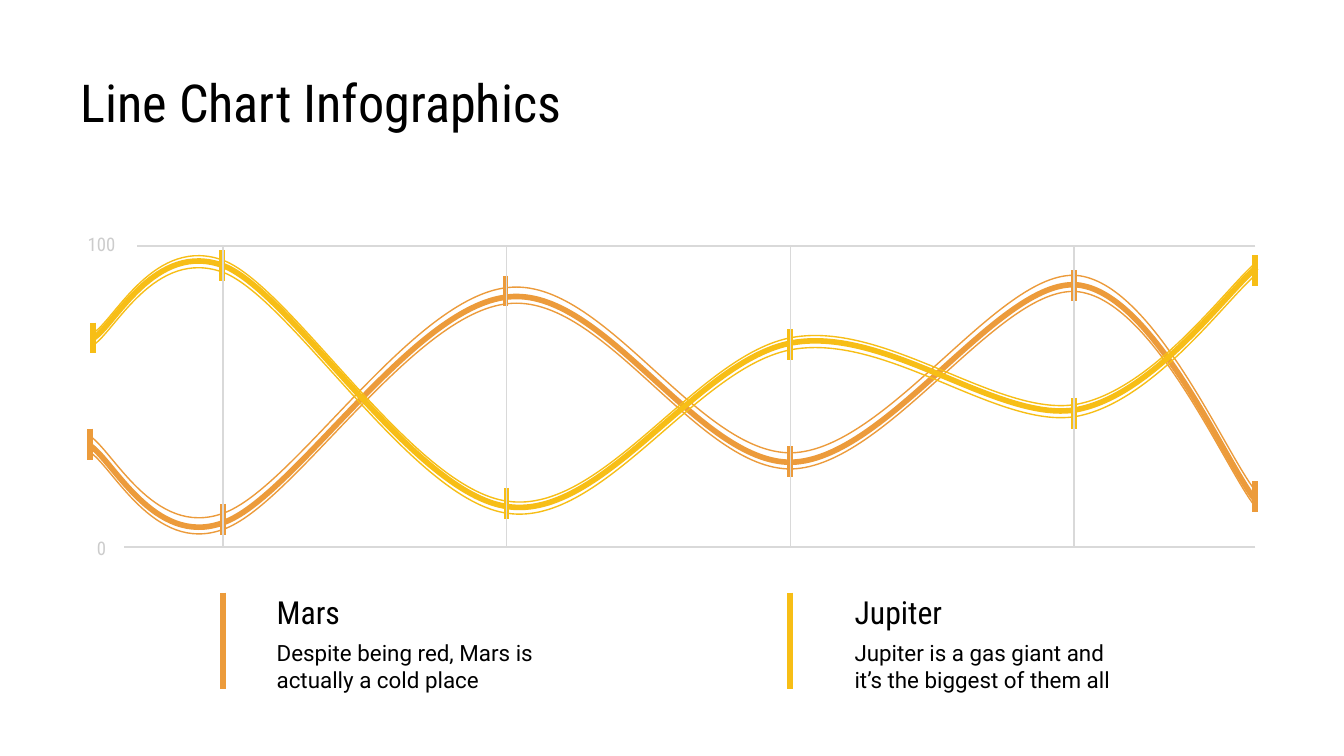
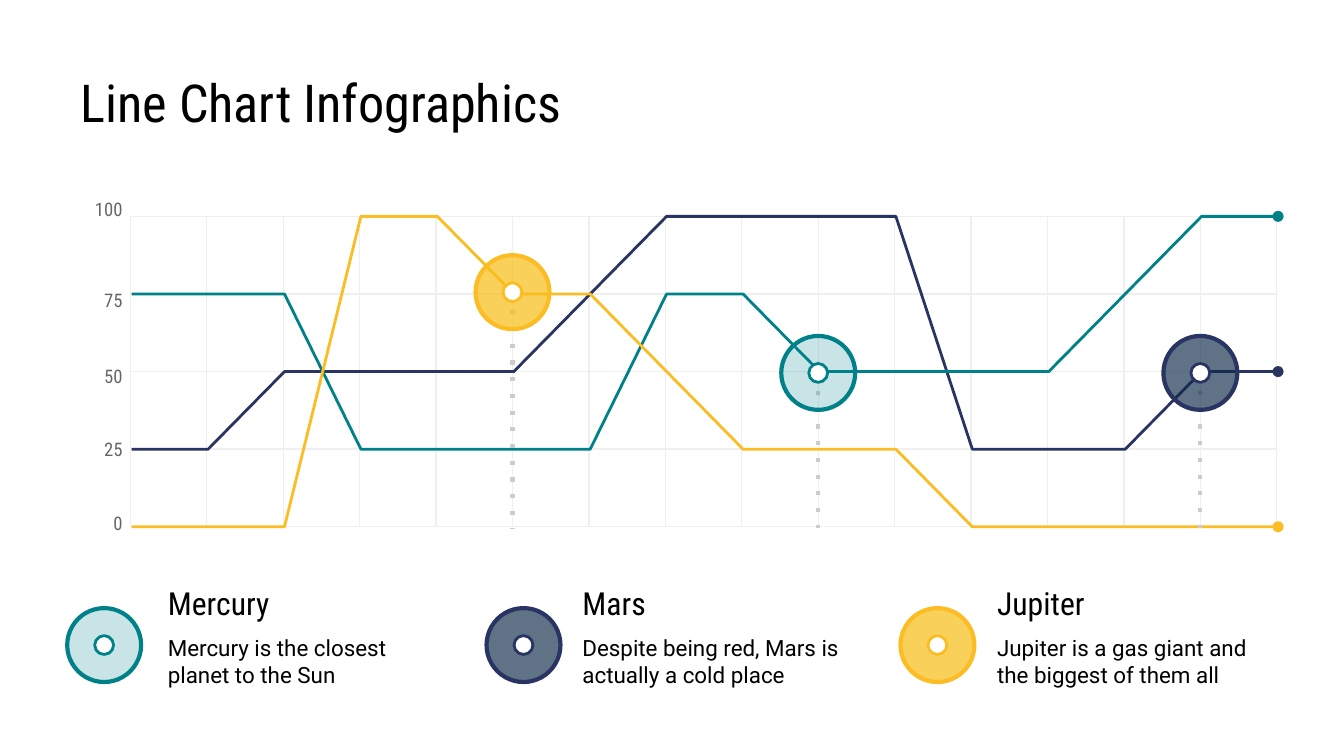
"""Build two line chart infographic slides."""
from dataclasses import dataclass
from typing import NamedTuple

from lxml import etree
from pptx import Presentation
from pptx import util as u
from pptx.dml.color import RGBColor
from pptx.enum import shapes as kinds, text
from pptx.oxml.ns import qn


@dataclass(frozen=True)
class Theme:
    """Colours, fonts and type sizes shared by the slides."""
    ink: str = "000000"
    paper: str = "FFFFFF"
    orange: str = "EC9B3B"
    yellow: str = "F7BE16"
    amber: str = "FCBD24"
    teal: str = "00818A"
    navy: str = "293462"
    deep_navy: str = "0E2A47"
    rule: str = "D9D9D9"
    grid: str = "EFEFEF"
    pale_label: str = "CCCCCC"
    dark_label: str = "666666"
    heading_font: str = "Roboto Condensed"
    body_font: str = "Roboto"
    title_size: float = 28
    heading_size: float = 17
    body_size: float = 12
    label_size: float = 10
    hairline: float = 0.75
    line: float = 1.5
    outline: float = 2.25
    bold_line: float = 3


class Box(NamedTuple):
    """A region of a slide in inches."""
    left: float
    top: float
    width: float
    height: float

    def lengths(self):
        """Return the four values as lengths."""
        return [u.Inches(value) for value in self]


class Wave(NamedTuple):
    """A curved series, with points and tick tops relative to the plot."""
    color: str
    points: list
    shifts: tuple
    ticks: list


class Planet(NamedTuple):
    """A straight series with its legend entry."""
    name: str
    note: str
    color: str
    fill: str
    opacity: int
    points: list
    highlight: tuple
    ring_left: float


THEME = Theme()
TITLE = "Line Chart Infographics"
SLIDE_WIDTH = 10
SLIDE_HEIGHT = SLIDE_WIDTH * 9 / 16
RING_SIZE, HOLE_SIZE = 0.55, 0.14
MARS_NOTE = "Despite being red, Mars is actually a cold place"

MARS_WAVE = Wave(
    THEME.orange,
    [(0, 1.48), (0.17, 1.57), (0.48, 2.25), (1, 2.06),
     (1.52, 1.88), (2.41, 0.45), (3.12, 0.38),
     (3.83, 0.3), (4.53, 1.62), (5.23, 1.61),
     (5.94, 1.59), (6.77, 0.25), (7.35, 0.29),
     (7.92, 0.34), (8.46, 1.62), (8.68, 1.89)],
    (-0.07, 0.05),
    [(0.01, 1.36), (1, 1.92), (3.1, 0.22), (5.22, 1.49), (7.33, 0.18), (8.68, 1.75)])
JUPITER_WAVE = Wave(
    THEME.yellow,
    [(0.03, 0.69), (0.19, 0.6), (0.49, -0.05), (1.01, 0.15),
     (1.52, 0.36), (2.42, 1.85), (3.12, 1.94),
     (3.83, 2.04), (4.53, 0.84), (5.24, 0.72),
     (5.94, 0.6), (6.76, 1.31), (7.34, 1.22),
     (7.92, 1.12), (8.47, 0.34), (8.69, 0.16)],
    (-0.04, 0.05),
    [(0.03, 0.57), (0.99, 0.03), (3.11, 1.8), (5.22, 0.62), (7.33, 1.13), (8.68, 0.07)])

PLANETS = [
    Planet("Mercury", "Mercury is the closest planet to the Sun",
           THEME.teal, THEME.teal, 21,
           [(0, 75), (2, 75), (3, 25), (6, 25), (7, 75), (8, 75), (9, 50),
            (12, 50), (14, 100), (15, 100)], (9, 50), 0.5),
    Planet("Mars", MARS_NOTE, THEME.navy, THEME.deep_navy, 66,
           [(0, 25), (1, 25), (2, 50), (3, 50), (5, 50), (7, 100), (10, 100),
            (11, 25), (13, 25), (14, 50), (15, 50)], (14, 50), 3.62),
    Planet("Jupiter", "Jupiter is a gas giant and the biggest of them all",
           THEME.amber, THEME.yellow, 71,
           [(0, 0), (2, 0), (3, 100), (4, 100), (5, 75), (6, 75), (8, 25),
            (10, 25), (11, 0), (15, 0)], (5, 76), 6.7),
]


def style_line(shape, color, width):
    """Set the colour and width of an outline."""
    shape.line.color.rgb = RGBColor.from_string(color)
    shape.line.width = u.Pt(width)


def add_line(shapes, start, end, color, width, dash=None):
    """Draw a straight connector without a shadow."""
    ends = [u.Inches(value) for value in (*start, *end)]
    line = shapes.add_connector(kinds.MSO_CONNECTOR.STRAIGHT, *ends)
    style_line(line, color, width)
    if dash:
        etree.SubElement(line.line._get_or_add_ln(), qn("a:prstDash"), val=dash)
    etree.SubElement(line._element.spPr, qn("a:effectLst"))
    return line


def add_outline(shapes, points, color, width):
    """Draw an open freeform through the points."""
    places = [(u.Inches(x), u.Inches(y)) for x, y in points]
    builder = shapes.build_freeform(*places[0])
    builder.add_line_segments(places[1:], close=False)
    outline = builder.convert_to_shape()
    outline.shadow.inherit = False
    outline.fill.background()
    style_line(outline, color, width)
    return outline


def add_curve(shapes, points, color, width):
    """Draw a freeform whose points after the first are Bézier triples."""
    curve = add_outline(shapes, points, color, width)
    outline_path = curve._element.find(".//" + qn("a:path"))
    segments = outline_path.findall(qn("a:lnTo"))
    for first in range(0, len(segments), 3):
        bezier = etree.SubElement(outline_path, qn("a:cubicBezTo"))
        for segment in segments[first:first + 3]:
            bezier.append(segment[0])
            outline_path.remove(segment)


def add_shape(shapes, kind, box, color, width, fill=None, opacity=100):
    """Draw a preset shape with an optional translucent fill."""
    shape = shapes.add_shape(kind, *box.lengths())
    shape.shadow.inherit = False
    style_line(shape, color, width)
    if fill is None:
        shape.fill.background()
        return shape
    shape.fill.solid()
    shape.fill.fore_color.rgb = RGBColor.from_string(fill)
    if opacity < 100:
        tint = shape._element.spPr.find(qn("a:solidFill"))[0]
        etree.SubElement(tint, qn("a:alpha"), val=str(opacity * 1000))
    return shape


def write(shape, words, size, font, color=THEME.ink,
          align=text.PP_ALIGN.LEFT, anchor=text.MSO_ANCHOR.MIDDLE):
    """Write one paragraph into a shape."""
    frame = shape.text_frame
    frame.word_wrap = True
    frame.auto_size = text.MSO_AUTO_SIZE.NONE
    frame.vertical_anchor = anchor
    frame.margin_left = frame.margin_right = u.Inches(0.1)
    frame.margin_top = frame.margin_bottom = u.Inches(0.1)
    paragraph = frame.paragraphs[0]
    paragraph.text = words
    paragraph.alignment = align
    paragraph.font.size = u.Pt(size)
    paragraph.font.name = font
    paragraph.font.color.rgb = RGBColor.from_string(color)


def add_titled_slide(presentation):
    """Add a slide with the shared title."""
    slide = presentation.slides.add_slide(presentation.slide_layouts[5])
    title = slide.shapes.title
    title.left, title.top, title.width, title.height = Box(0.5, 0.42, 9, 0.63).lengths()
    write(title, TITLE, THEME.title_size, THEME.heading_font, anchor=text.MSO_ANCHOR.TOP)
    return slide


def add_caption(slide, box, heading, note):
    """Place a heading above a note that fills the rest of the box."""
    heading_height = 0.33
    top = slide.shapes.add_textbox(*box._replace(height=heading_height).lengths())
    write(top, heading, THEME.heading_size, THEME.heading_font)
    rest = Box(box.left, box.top + heading_height, box.width, box.height - heading_height)
    write(slide.shapes.add_textbox(*rest.lengths()), note, THEME.body_size, THEME.body_font)


def add_axis_label(slide, top, words, color, align):
    """Place a value label left of a plot."""
    label = slide.shapes.add_textbox(*Box(0.5, top, 0.51, 0.33).lengths())
    write(label, words, THEME.label_size, THEME.heading_font, color, align)


def add_wave(slide, plot, wave):
    """Draw a curve, its two thin companions and its ticks."""
    shapes = slide.shapes.add_group_shape().shapes
    for shift in (0, *wave.shifts):
        width = THEME.hairline if shift else THEME.bold_line
        points = [(plot.left + x, plot.top + y + shift) for x, y in wave.points]
        add_curve(shapes, points, wave.color, width)
    for x, y in wave.ticks:
        left, top = plot.left + x, plot.top + y
        add_line(shapes, (left, top), (left, top + 0.23), wave.color, THEME.bold_line)


def add_wave_grid(slide, plot):
    """Draw four column rules, a top rule and a base rule."""
    shapes = slide.shapes.add_group_shape().shapes
    right, bottom = plot.left + plot.width, plot.top + plot.height
    for column in range(4):
        x = plot.left + 1 + 2.11 * column
        add_line(shapes, (x, plot.top + 0.01), (x, bottom), THEME.rule, THEME.hairline)
    for y, indent in ((bottom, 0.26), (plot.top, 0.36)):
        add_line(shapes, (right, y), (plot.left + indent, y), THEME.rule, THEME.hairline)


def add_wave_legend(slide, box, color, bar_gap, heading, note):
    """Place a caption with a coloured bar to its left."""
    x = box.left - bar_gap
    add_line(slide.shapes, (x, box.top + 0.02), (x, box.top + 0.74), color, THEME.bold_line)
    add_caption(slide, box, heading, note)


def build_wave_slide(presentation):
    """Build the slide with two curved series."""
    slide = add_titled_slide(presentation)
    plot = Box(0.66, 1.83, 8.68, 2.24)
    add_wave(slide, plot, MARS_WAVE)
    add_wave_legend(slide, Box(1.96, 4.39, 2.18, 0.8), THEME.orange, 0.3, "Mars", MARS_NOTE)
    add_wave_legend(slide, Box(6.26, 4.39, 2.18, 0.8), THEME.yellow, 0.38, "Jupiter",
                    "Jupiter is a gas giant and it’s the biggest of them all")
    add_wave(slide, plot, JUPITER_WAVE)
    add_wave_grid(slide, plot)
    for words, top in (("100", 1.65), ("0", 3.91)):
        add_axis_label(slide, top, words, THEME.pale_label, text.PP_ALIGN.CENTER)


def add_square_grid(slide, plot):
    """Draw a frame split into fifteen columns and four rows."""
    shapes = slide.shapes.add_group_shape().shapes
    frame = add_shape(shapes, kinds.MSO_SHAPE.RECTANGLE, plot, THEME.grid, THEME.hairline)
    right, bottom = plot.left + plot.width, plot.top + plot.height
    for column in range(1, 15):
        x = plot.left + plot.width * column / 15
        add_line(shapes, (x, plot.top), (x, bottom), THEME.grid, THEME.hairline)
    for row in range(1, 4):
        y = plot.top + plot.height * row / 4
        line = add_line(shapes, (right, y), (plot.left, y), THEME.grid, THEME.hairline)
        if row == 2:
            line.begin_connect(frame, 3)
            line.end_connect(frame, 1)


def locate(plot, point):
    """Turn a column and a value from 0 to 100 into a place in the plot."""
    column, value = point
    return (plot.left + plot.width * column / 15,
            plot.top + plot.height * (1 - value / 100))


def add_ring(slide, center, planet):
    """Draw a translucent disc with a white hole."""
    shapes = slide.shapes.add_group_shape().shapes
    for size, width, fill, opacity in (
            (RING_SIZE, THEME.outline, planet.fill, planet.opacity),
            (HOLE_SIZE, THEME.line, THEME.paper, 100)):
        box = Box(center[0] - size / 2, center[1] - size / 2, size, size)
        add_shape(shapes, kinds.MSO_SHAPE.OVAL, box, planet.color, width, fill, opacity)


def build_step_slide(presentation):
    """Build the slide with three straight series and their legend."""
    slide = add_titled_slide(presentation)
    plot = Box(0.97, 1.61, 8.53, 2.31)
    mercury, mars, jupiter = PLANETS
    add_square_grid(slide, plot)
    for value, top in ((100, 1.39), (75, 2.07), (50, 2.63), (25, 3.18), (0, 3.73)):
        add_axis_label(slide, top, str(value), THEME.dark_label, text.PP_ALIGN.RIGHT)
    data_area = plot._replace(left=plot.left + 0.01)
    for planet in (mars, mercury, jupiter):
        points = [locate(data_area, point) for point in planet.points]
        series = add_outline(slide.shapes, points, planet.color, THEME.line)
        etree.SubElement(series.line._get_or_add_ln(), qn("a:tailEnd"), type="oval")
    for planet in PLANETS:
        x, y = locate(plot, planet.highlight)
        add_line(slide.shapes, (x, y + 0.02), (x, plot.top + plot.height + 0.01),
                 THEME.pale_label, THEME.outline, "dot")
        add_ring(slide, (x, y + 0.01), planet)
    for index, planet in enumerate(PLANETS):
        add_ring(slide, (planet.ring_left + RING_SIZE / 2, 4.8), planet)
        box = Box(1.15 + 6.17 * index / 2, 4.32, 2.18, 0.87)
        add_caption(slide, box, planet.name, planet.note)


def main():
    """Build and save the presentation."""
    presentation = Presentation()
    presentation.slide_width = u.Inches(SLIDE_WIDTH)
    presentation.slide_height = u.Inches(SLIDE_HEIGHT)
    build_wave_slide(presentation)
    build_step_slide(presentation)
    presentation.save("out.pptx")


if __name__ == "__main__":
    main()
